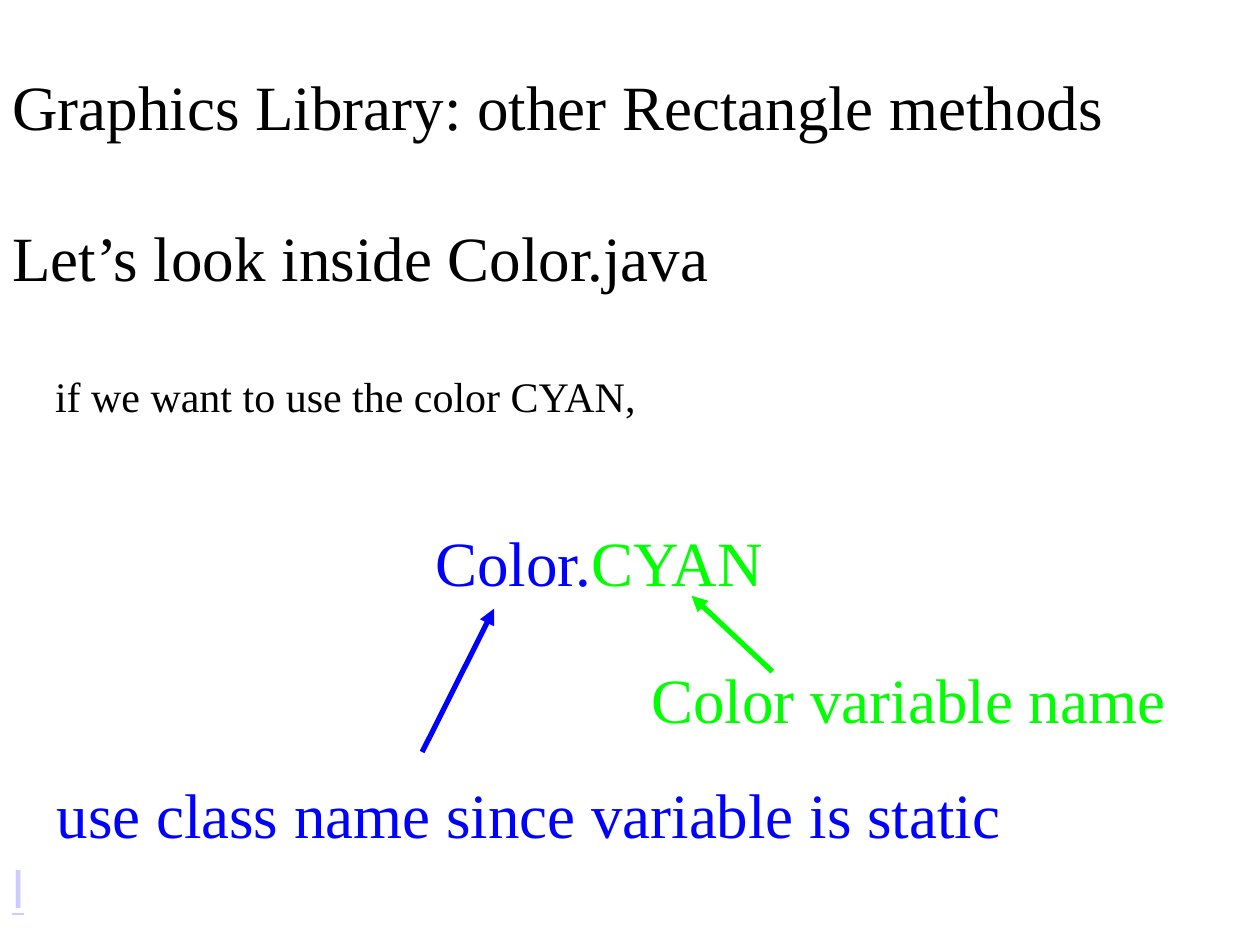
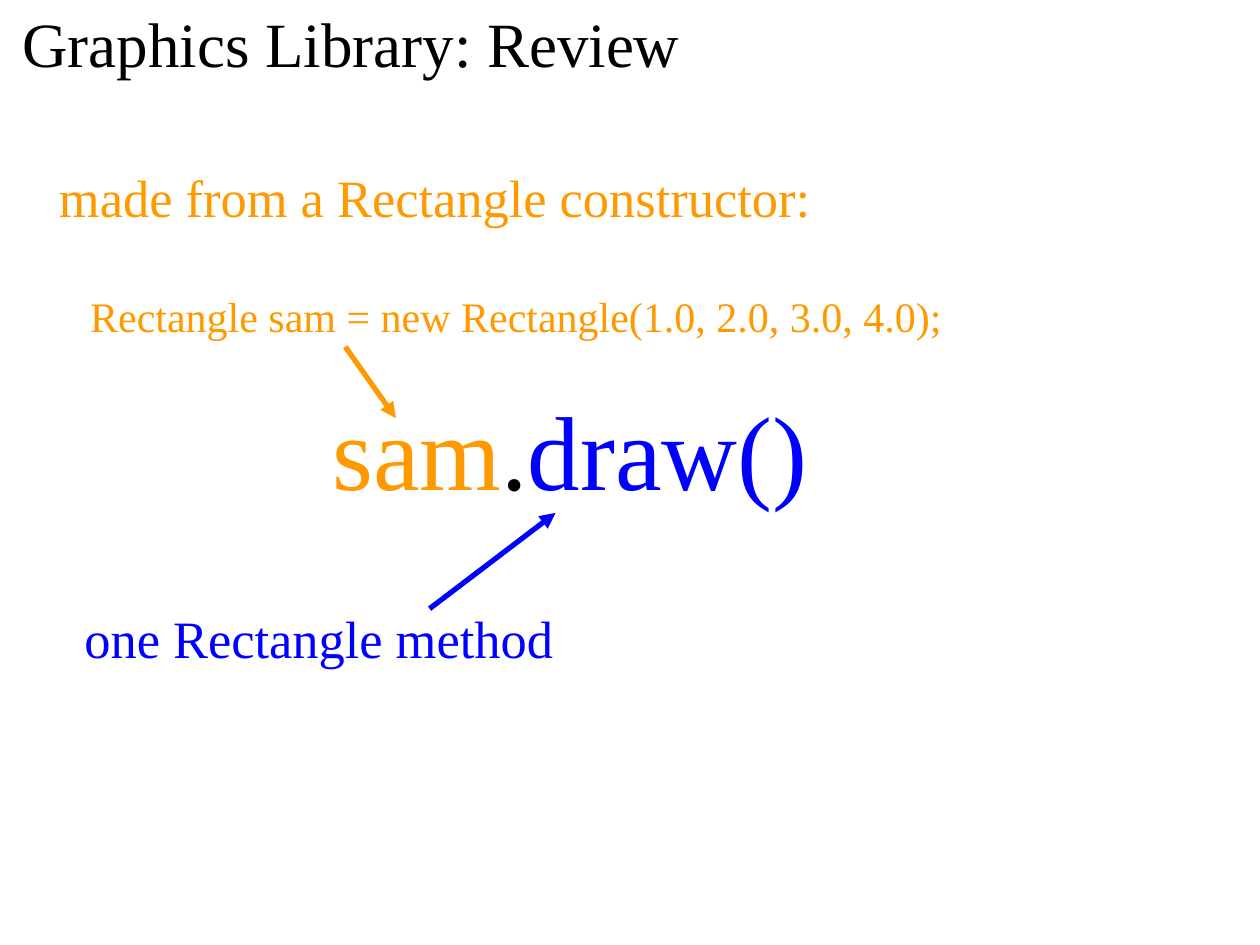
from dataclasses import dataclass

from lxml.etree import SubElement
from pptx import Presentation
from pptx.dml.color import RGBColor as RGB
from pptx.enum.shapes import MSO_CONNECTOR as Connector
from pptx.enum.text import MSO_ANCHOR as Anchor, MSO_AUTO_SIZE as AutoSize, PP_ALIGN as Align
from pptx.oxml.ns import qn
from pptx.util import Cm, Pt


@dataclass(frozen=True)
class Theme:
    serif: str = "Times New Roman"
    sans: str = "Arial"
    black: RGB = RGB(0x00, 0x00, 0x00)
    blue: RGB = RGB(0x00, 0x00, 0xFF)
    green: RGB = RGB(0x00, 0xFF, 0x00)
    orange: RGB = RGB(0xFF, 0x99, 0x00)
    lilac: RGB = RGB(0xCC, 0xCC, 0xFF)
    code: int = 60
    heading: int = 36
    body: int = 30
    detail: int = 24
    arrow_width: int = 3
    lead: float = 0.1
    box_height: float = 2.39
    side_inset: float = 0.25
    title_inset: float = 0.13


THEME = Theme()


def place(shape, left, top, width, height):
    shape.left, shape.top = Cm(left), Cm(top)
    shape.width, shape.height = Cm(width), Cm(height)


def write(frame, pieces, size, inset, font=THEME.serif):
    frame.word_wrap = True
    frame.auto_size = AutoSize.NONE
    frame.vertical_anchor = Anchor.TOP
    frame.margin_left = frame.margin_right = Cm(THEME.side_inset)
    frame.margin_top = frame.margin_bottom = Cm(inset)
    paragraph = frame.paragraphs[0]
    paragraph.alignment = Align.LEFT
    paragraph.space_before = Pt(size * THEME.lead)
    paragraph.font.name = font
    paragraph.font.size = Pt(size)
    for words, color in pieces:
        run = paragraph.add_run()
        run.text = words
        run.font.color.rgb = color
    return paragraph


def add_titled_slide(deck, words, left, top, width):
    slide = deck.slides.add_slide(deck.slide_layouts[5])
    title = slide.shapes.title
    place(title, left, top, width, THEME.box_height)
    write(title.text_frame, [(words, THEME.black)], THEME.heading, THEME.title_inset)
    return slide


def add_text(slide, pieces, left, top, width, size, font=THEME.serif):
    box = slide.shapes.add_textbox(Cm(left), Cm(top), Cm(width), Cm(THEME.box_height))
    return write(box.text_frame, pieces, size, THEME.side_inset, font)


def add_arrow(slide, start, end, color):
    arrow = slide.shapes.add_connector(
        Connector.STRAIGHT, *(Cm(value) for value in (*start, *end)))
    arrow.line.color.rgb = color
    arrow.line.width = Pt(THEME.arrow_width)
    SubElement(arrow.line._get_or_add_ln(), qn("a:tailEnd"), type="triangle")
    SubElement(arrow._element.spPr, qn("a:effectLst"))


def build_color_slide(deck):
    t = THEME
    slide = add_titled_slide(
        deck, "Graphics Library: other Rectangle methods", 0, 1.24, 27.13)
    add_text(slide, [("Let’s look inside Color.java", t.black)], 0, 4.16, 25.4, t.heading)
    add_text(slide, [("if we want to use the color CYAN,", t.black)], 0.86, 7.21, 20, t.detail)
    link = add_text(slide, [("l", t.lilac)], 0, 17, 2, t.body, t.sans)
    link.font.underline = True
    add_text(slide, [("Color.", t.blue), ("CYAN", t.green)], 8.53, 10.31, 8.33, t.heading)
    add_arrow(slide, (8.51, 15.16), (9.96, 12.27), t.blue)
    add_text(slide, [("use class name since variable is static", t.blue)],
             0.89, 15.39, 20.4, t.heading)
    add_arrow(slide, (15.57, 13.54), (13.94, 12.01), t.green)
    add_text(slide, [("Color variable name", t.green)], 12.88, 13.06, 11.33, t.heading)


def build_review_slide(deck):
    t = THEME
    slide = add_titled_slide(deck, "Graphics Library: Review", 0.2, -0.03, 25.17)
    add_text(slide, [("sam", t.orange), (".", t.black), ("draw()", t.blue)],
             6.45, 7.52, 11.2, t.code)
    add_text(slide, [("made from a Rectangle constructor:", t.orange)],
             0.94, 3.07, 18.47, t.body)
    add_text(slide, [("Rectangle sam = new Rectangle(1.0, 2.0, 3.0, 4.0);", t.orange)],
             1.57, 5.61, 18.5, t.detail)
    add_text(slide, [("one Rectangle method", t.blue)], 1.45, 11.96, 17.98, t.body)
    add_arrow(slide, (6.96, 6.99), (7.98, 8.43), t.orange)
    add_arrow(slide, (8.66, 12.27), (11.2, 10.34), t.blue)


def main():
    deck = Presentation()
    deck.slide_width, deck.slide_height = Cm(25.4), Cm(19.05)
    build_color_slide(deck)
    build_review_slide(deck)
    deck.save("out.pptx")


if __name__ == "__main__":
    main()
